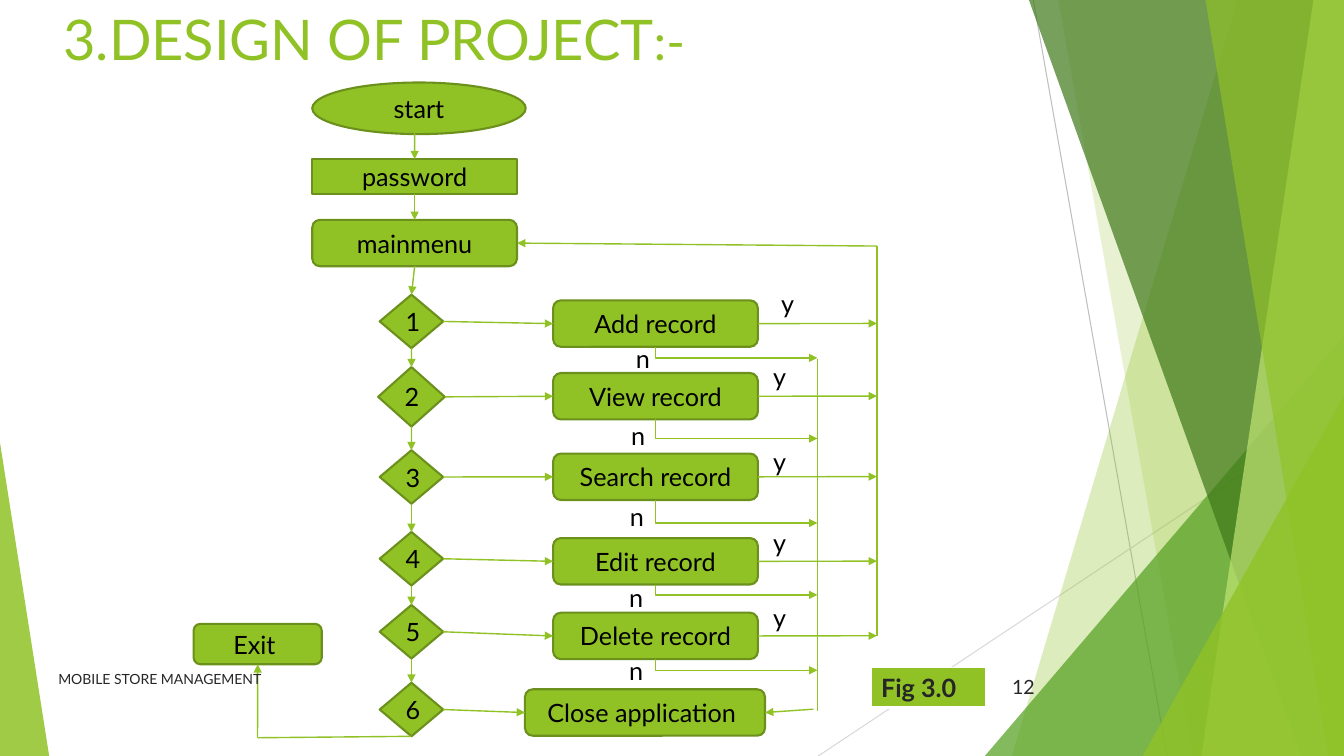
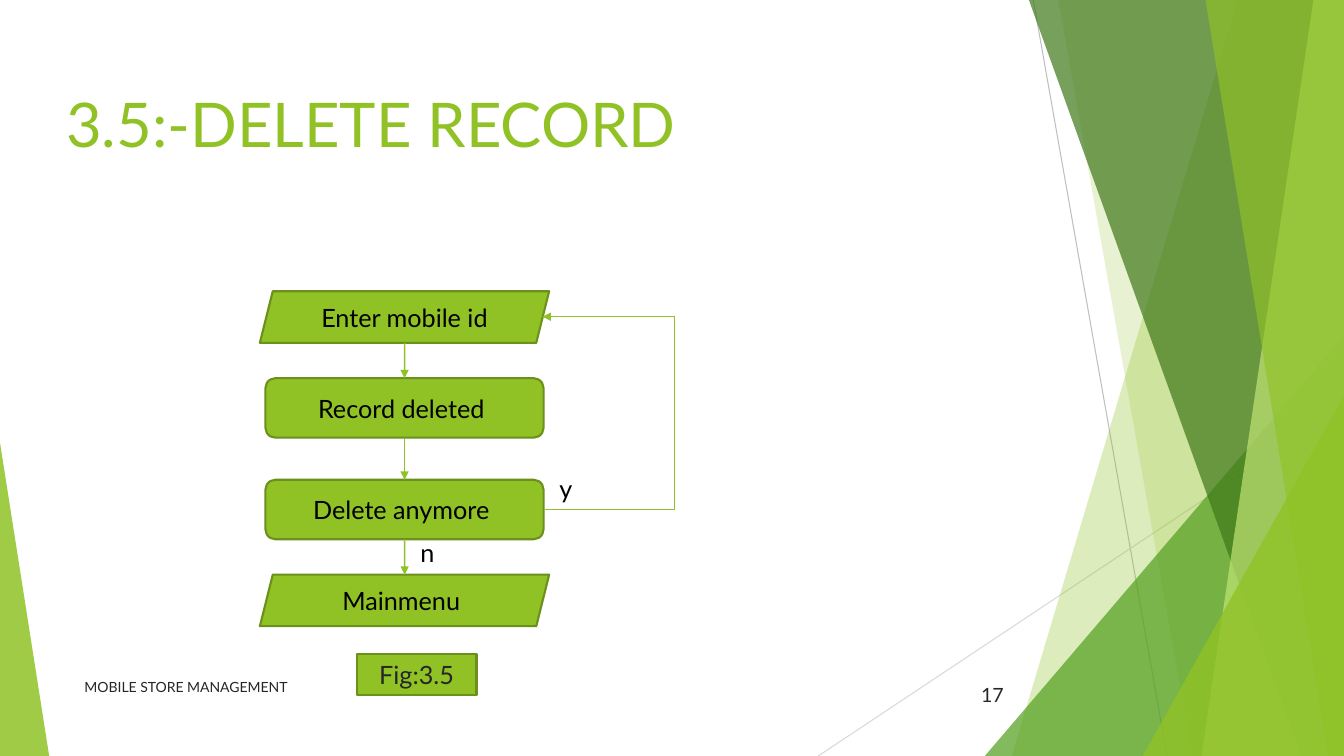
import pptx
import pptx.util
import pptx.dml.color
import pptx.enum.shapes
import pptx.enum.text
import pptx.oxml
import pptx.oxml.ns

Cm = pptx.util.Cm
Pt = pptx.util.Pt
SHAPE = pptx.enum.shapes.MSO_SHAPE
CONNECTOR = pptx.enum.shapes.MSO_CONNECTOR
ALIGN = pptx.enum.text.PP_ALIGN
ANCHOR = pptx.enum.text.MSO_ANCHOR
qn = pptx.oxml.ns.qn

WIDTH, HEIGHT = 33.87, 19.05
TOP, LEFT, BOTTOM, RIGHT = range(4)
COLORS = {
    "lime": "90C226", "edge": "6B901C", "green": "54A021", "forest": "3F7819",
    "pale": "C0E474", "ink": "000000", "soft": "262626", "white": "FFFFFF",
    "gray": "BFBFBF", "mist": "D9D9D9",
}
FORMATS = {
    "title": {"size": Pt(40), "color": "lime"},
    "node": {"size": Pt(18), "color": "ink"},
    "figure": {"size": Pt(18), "color": "soft"},
    "caption": {"size": Pt(18), "color": "soft", "bold": True},
    "footer": {"size": Pt(10), "color": "soft"},
    "number": {"size": Pt(14), "color": "soft"},
}
# Facet backdrop, from back to front: blades reach from a slanted edge to the right side
FACETS = [
    ("blade", (31.19, 25.5), "lime", 30),
    ("blade", (26.67, 30.05), "lime", 20),
    ("triangle", (24.82, 8.46, 9.05, 1), "green", 72),
    ("blade", (25.93, 32.79), "forest", 70),
    ("blade", (33.1, 30.28), "pale", 70),
    ("blade", (30.38, 33.48), "lime", 65),
    ("triangle", (28.8, 9.98, 5.07, 1), "lime", 80),
    ("triangle", (0, 11.15, 1.24, 0), "lime", 85),
]


def rgb(name):
    return pptx.dml.color.RGBColor.from_string(COLORS[name])


def add_xml(parent, tag, **attributes):
    child = pptx.oxml.parse_xml(f'<a:{tag} {pptx.oxml.ns.nsdecls("a")}/>')
    for key, value in attributes.items():
        child.set(key, str(value))
    parent.append(child)
    return child


class Deck:
    def __init__(self):
        self.presentation = pptx.Presentation()
        self.presentation.slide_width = Cm(WIDTH)
        self.presentation.slide_height = Cm(HEIGHT)
        self.slide = None

    def new_slide(self):
        self.slide = self.presentation.slides.add_slide(self.presentation.slide_layouts[6])
        self.backdrop()

    def wording(self, paragraph, text, style, align=ALIGN.LEFT, **changes):
        paragraph.alignment = align
        run = paragraph.add_run()
        run.text = text
        values = {"name": "Lato", **FORMATS[style], **changes}
        run.font.color.rgb = rgb(values.pop("color"))
        for key, value in values.items():
            setattr(run.font, key, value)

    def facet(self, shape, color, opacity):
        shape.shadow.inherit = False
        shape.fill.solid()
        shape.fill.fore_color.rgb = rgb(color)
        shape.line.fill.background()
        add_xml(shape._element.spPr.find(".//" + qn("a:srgbClr")), "alpha", val=opacity * 1000)

    def backdrop(self):
        self.line((26.04, 0), (29.41, HEIGHT), "gray", 0.75, arrow=False)
        self.line((WIDTH, 10.24), (20.62, HEIGHT), "mist", 0.75, arrow=False)
        for kind, place, color, opacity in FACETS:
            if kind == "blade":
                upper, lower = place
                outline = self.slide.shapes.build_freeform(Cm(upper), 0, scale=1.0)
                corners = [(WIDTH, 0), (WIDTH, HEIGHT), (lower, HEIGHT)]
                outline.add_line_segments([(Cm(x), Cm(y)) for x, y in corners], close=True)
                shape = outline.convert_to_shape()
            else:
                x, y, width, tip = place
                shape = self.slide.shapes.add_shape(
                    SHAPE.ISOSCELES_TRIANGLE, Cm(x), Cm(y), Cm(width), Cm(HEIGHT - y))
                shape.adjustments[0] = tip
            self.facet(shape, color, opacity)

    def text(self, x, y, width, height, text, style, align=ALIGN.LEFT,
             anchor=ANCHOR.TOP, wrap=True, **changes):
        frame = self.slide.shapes.add_textbox(Cm(x), Cm(y), Cm(width), Cm(height)).text_frame
        frame.word_wrap = wrap
        frame.vertical_anchor = anchor
        self.wording(frame.paragraphs[0], text, style, align, **changes)
        return frame.paragraphs[0]

    def title(self, x, y, text, **changes):
        return self.text(x, y, 23.8, 2.9, text, "title", **changes)

    def label(self, center, y, text):
        self.text(center - 0.43, y, 0.86, 1.02, text, "node", ALIGN.CENTER, wrap=False)

    def footer(self, x, y, number_x, number_y, number):
        self.text(number_x, number_y, 1.9, 1.02, number, "number", ALIGN.RIGHT, ANCHOR.MIDDLE)
        self.text(x, y, 17.5, 1.02, "MOBILE STORE MANAGEMENT", "footer", anchor=ANCHOR.MIDDLE)

    def node(self, kind, x, y, width, height, text, style="node"):
        shape = self.slide.shapes.add_shape(kind, Cm(x), Cm(y), Cm(width), Cm(height))
        shape.shadow.inherit = False
        shape.fill.solid()
        shape.fill.fore_color.rgb = rgb("lime")
        shape.line.color.rgb = rgb("edge")
        shape.line.width = Pt(1.5)
        shape.text_frame.vertical_anchor = ANCHOR.MIDDLE
        self.wording(shape.text_frame.paragraphs[0], text, style, ALIGN.CENTER)
        return shape

    def line(self, start, end, color="lime", weight=1, arrow=True, kind=CONNECTOR.STRAIGHT):
        """Each end is an (x, y) point or a (shape, side) pair."""
        points = [p if isinstance(p[0], (int, float)) else (0, 0) for p in (start, end)]
        connector = self.slide.shapes.add_connector(
            kind, *[Cm(value) for point in points for value in point])
        for place, join in ((start, connector.begin_connect), (end, connector.end_connect)):
            if not isinstance(place[0], (int, float)):
                join(*place)
        connector.line.color.rgb = rgb(color)
        connector.line.width = Pt(weight)
        if arrow:
            add_xml(connector.line._get_or_add_ln(), "tailEnd", type="triangle")
        add_xml(connector._element.spPr, "effectLst")
        return connector

    def elbow(self, shape, end):
        """Drop from the shape's bottom, then turn right to the end point."""
        connector = self.line((shape, BOTTOM), end, kind=CONNECTOR.ELBOW)
        across, down = connector.width, connector.height
        middle_x = connector.left + across // 2
        middle_y = connector.top + down // 2
        geometry = {"left": middle_x - down // 2, "top": middle_y - across // 2,
                    "width": down, "height": across, "rotation": 270}
        for key, value in geometry.items():
            setattr(connector, key, value)
        properties = connector._element.spPr
        properties.find(qn("a:xfrm")).set("flipH", "1")
        properties.find(qn("a:prstGeom")).set("prst", "bentConnector2")

    def caption_table(self, x, y, width, height, text):
        table = self.slide.shapes.add_table(1, 1, Cm(x), Cm(y), Cm(width), Cm(height)).table
        table.first_row = table.horz_banding = False
        cell = table.cell(0, 0)
        self.wording(cell.text_frame.paragraphs[0], text, "caption")
        properties = cell._tc.get_or_add_tcPr()
        for side, weight in (("lnL", 1), ("lnR", 1), ("lnT", 1), ("lnB", 3)):
            border = add_xml(properties, side, w=Pt(weight))
            add_xml(add_xml(border, "solidFill"), "srgbClr", val=COLORS["white"])
        cell.fill.solid()
        cell.fill.fore_color.rgb = rgb("lime")


def project_design(deck):
    deck.new_slide()
    heading = deck.title(1.35, 0, "3.DESIGN OF PROJECT")
    deck.wording(heading, ":-", "title", size=Pt(36))

    # Entry steps
    deck.node(SHAPE.OVAL, 7.87, 2.08, 5.38, 1.3, "start")
    password = deck.node(SHAPE.RECTANGLE, 7.87, 4.01, 5.16, 0.89, "password")
    mainmenu = deck.node(SHAPE.ROUNDED_RECTANGLE, 7.87, 5.54, 5.16, 1.17, "mainmenu")
    deck.line((10.45, 3.36), (password, TOP))
    deck.line((password, BOTTOM), (mainmenu, TOP))

    # Menu choices, chained downwards
    choices = []
    previous = mainmenu
    for number, middle in enumerate((8.1, 10, 12.02, 14.08, 15.92, 17.88), 1):
        width, height = (1.68, 1.5) if number == 2 else (1.6, 1.35)
        choice = deck.node(SHAPE.DIAMOND, 10.37 - width / 2, middle - height / 2,
                           width, height, str(number))
        deck.line((previous, BOTTOM), (choice, TOP))
        choices.append(choice)
        previous = choice

    # Record actions: text, top, "y" centre and top, "n" centre and top, level of the no branch
    yes_bus, no_bus = 22.1, 20.6
    actions = [
        ("Add record", 7.57, (19.85, 7.14), (16.2, 8.53), 9.02),
        ("View record", 9.4, (19.65, 8.99), (16.08, 10.46), 11.05),
        ("Search record", 11.43, (19.65, 11.13), (16.05, 12.5), 13.18),
        ("Edit record", 13.56, (19.65, 13.16), (16.03, 14.55), 14.99),
        ("Delete record", 15.44, (19.65, 15.06), (16.03, 16.38), 16.89),
    ]
    for choice, (text, top, yes, no, no_level) in zip(choices, actions):
        action = deck.node(SHAPE.ROUNDED_RECTANGLE, 13.94, top, 5.16, 1.17, text)
        deck.line((choice, RIGHT), (action, LEFT))
        deck.line((action, RIGHT), (yes_bus, top + 0.58))
        deck.elbow(action, (no_bus, no_level))
        deck.label(*yes, "y")
        deck.label(*no, "n")

    # Return to the menu, close and exit
    deck.line((yes_bus, 16.02), (yes_bus, 6.2), arrow=False)
    deck.line((yes_bus, 6.2), (mainmenu, RIGHT))
    close = deck.node(SHAPE.ROUNDED_RECTANGLE, 13.23, 17.37, 6.05, 1.17, "Close application ")
    deck.line((choices[-1], RIGHT), (close, LEFT))
    deck.line((no_bus, 9.04), (no_bus, 17.91), arrow=False)
    deck.line((no_bus - 0.1, 17.87), (close, RIGHT))
    leave = deck.node(SHAPE.ROUNDED_RECTANGLE, 4.88, 15.72, 3.23, 1.02, "Exit ")
    deck.line((choices[-1], BOTTOM), (6.49, 18.59), arrow=False)
    deck.line((6.49, 18.59), (leave, BOTTOM))

    deck.caption_table(21.95, 16.81, 2.9, 0.97, "Fig 3.0")
    deck.footer(1.22, 16.61, 24.43, 16.79, "12")


def delete_record(deck):
    deck.new_slide()
    deck.title(1.42, 2.03, "3.5:-DELETE RECORD", size=Pt(44))

    # Steps
    deck.node(SHAPE.PARALLELOGRAM, 6.55, 7.34, 7.29, 1.3, "Enter mobile id")
    deleted, anymore = [
        deck.node(SHAPE.ROUNDED_RECTANGLE, 6.69, top, 7.01, 1.5, text)
        for top, text in ((9.53, "Record deleted "), (12.09, "Delete anymore "))]
    deck.node(SHAPE.PARALLELOGRAM, 6.55, 14.48, 7.29, 1.3, "Mainmenu ")
    deck.line((10.2, 8.64), (deleted, TOP))
    deck.line((deleted, BOTTOM), (anymore, TOP))
    deck.line((anymore, BOTTOM), (10.2, 14.48))

    # Loop back for another id
    deck.line((anymore, RIGHT), (17, 12.84), arrow=False)
    deck.line((17, 12.84), (17, 7.98), arrow=False)
    deck.line((17, 7.98), (13.67, 7.98))
    deck.label(14.26, 11.81, "y")
    deck.label(10.77, 13.41, "n")

    deck.footer(1.88, 16.79, 23.65, 16.99, "17")
    deck.node(SHAPE.RECTANGLE, 8.99, 16.48, 3.02, 1.04, "Fig:3.5", "figure")


def main():
    deck = Deck()
    project_design(deck)
    delete_record(deck)
    deck.presentation.save("out.pptx")


if __name__ == "__main__":
    main()
